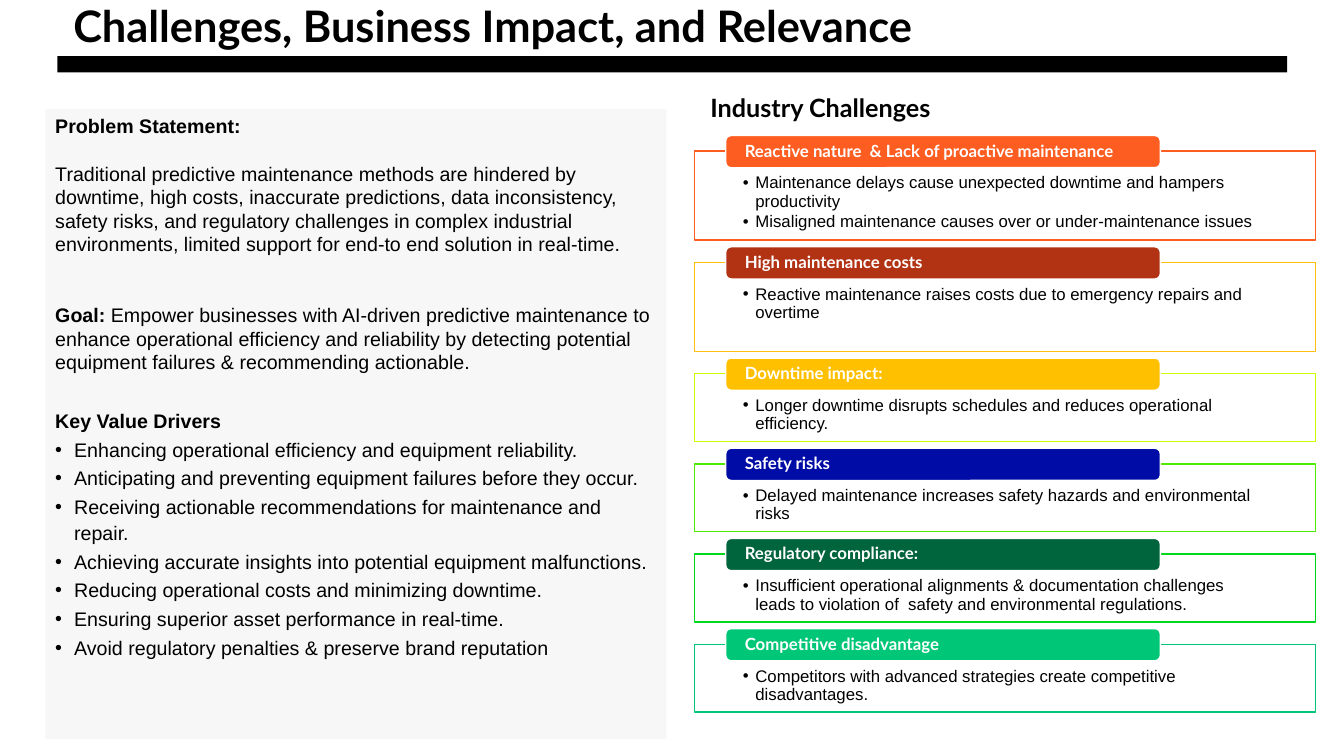
from lxml.etree import SubElement
from pptx import Presentation
from pptx.dml.color import RGBColor
from pptx.enum.shapes import MSO_SHAPE
from pptx.enum.text import MSO_ANCHOR, PP_ALIGN
from pptx.oxml.ns import qn
from pptx.util import Pt

BLACK = RGBColor(0x00, 0x00, 0x00)
WHITE = RGBColor(0xFF, 0xFF, 0xFF)
PANEL = RGBColor(0xF7, 0xF7, 0xF7)
ORANGE = RGBColor(0xFE, 0x5D, 0x21)
AMBER = RGBColor(0xFE, 0xBF, 0x0F)
RUST = RGBColor(0xB2, 0x32, 0x14)
LIME = RGBColor(0xC9, 0xFB, 0x01)
GOLD = RGBColor(0xFF, 0xC0, 0x00)
GREEN = RGBColor(0x4E, 0xEA, 0x00)
NAVY = RGBColor(0x00, 0x0C, 0xA6)
LEAF = RGBColor(0x00, 0xD8, 0x1D)
FOREST = RGBColor(0x00, 0x64, 0x3C)
JADE = RGBColor(0x00, 0xC7, 0x77)

STATEMENT = [
    (0, [("Problem Statement:", True)]),
    (17, [("Traditional predictive maintenance methods are hindered by downtime, "
           "high costs, inaccurate predictions, data inconsistency, safety risks, "
           "and regulatory challenges in complex industrial environments, limited "
           "support for end-to end solution in real-time.", False)]),
    (34, [("Goal: ", True),
          ("Empower businesses with AI-driven predictive maintenance to enhance "
           "operational efficiency and reliability by detecting potential equipment "
           "failures & recommending actionable.", False)]),
    (25, [("Key Value Drivers", True)]),
]
DRIVERS = [
    "Enhancing operational efficiency and equipment reliability.",
    "Anticipating and preventing equipment failures before they occur.",
    "Receiving actionable recommendations for maintenance and repair.",
    "Achieving accurate insights into potential equipment malfunctions.",
    "Reducing operational costs and minimizing downtime.",
    "Ensuring superior asset performance in real-time.",
    "Avoid regulatory penalties & preserve brand reputation",
]
CHALLENGES = [
    ("Reactive nature  & Lack of proactive maintenance", ORANGE, ORANGE, 63.5,
     ["Maintenance delays cause unexpected downtime and hampers productivity",
      "Misaligned maintenance causes over or under-maintenance issues"]),
    ("High maintenance costs", RUST, AMBER, 63.5,
     ["Reactive maintenance raises costs due to emergency repairs and overtime"]),
    ("Downtime impact:", GOLD, LIME, 48.4,
     ["Longer downtime disrupts schedules and reduces operational efficiency."]),
    ("Safety risks", NAVY, GREEN, 48.4,
     ["Delayed maintenance increases safety hazards and environmental risks"]),
    ("Regulatory compliance:", FOREST, LEAF, 48.4,
     ["Insufficient operational alignments & documentation challenges leads to "
      "violation of  safety and environmental regulations."]),
    ("Competitive disadvantage", JADE, JADE, 48.4,
     ["Competitors with advanced strategies create competitive disadvantages."]),
]


def add_run(p, text, size, font="Arial", color=BLACK, bold=False):
    """Append one formatted run to a paragraph."""
    r = p.add_run()
    r.text = text
    r.font.size = Pt(size)
    r.font.name = font
    r.font.color.rgb = color
    r.font.bold = bold


def add_para(tf, first=False, before=0, after=0, spacing=1.0):
    """Return a left-aligned paragraph with the given spacing."""
    p = tf.paragraphs[0] if first else tf.add_paragraph()
    p.alignment = PP_ALIGN.LEFT
    p.space_before = Pt(before)
    p.space_after = Pt(after)
    p.line_spacing = spacing
    return p


def add_bullet(p, indent):
    """Give a paragraph a hanging bullet."""
    pPr = p._p.get_or_add_pPr()
    pPr.set("marL", str(Pt(indent)))
    pPr.set("indent", str(Pt(-indent)))
    SubElement(pPr, qn("a:buFont"), typeface="Arial")
    SubElement(pPr, qn("a:buChar"), char="•")


def add_box(slide, kind, box, fill, line=None, insets=(7.2, 3.6, 7.2, 3.6),
            anchor=MSO_ANCHOR.TOP):
    """Add a flat shape with wrapped text and return it."""
    sp = slide.shapes.add_shape(kind, *map(Pt, box))
    sp.shadow.inherit = False
    sp.fill.solid()
    sp.fill.fore_color.rgb = fill
    if line is None:
        sp.line.fill.background()
    else:
        sp.line.color.rgb = line
        sp.line.width = Pt(1)
    tf = sp.text_frame
    tf.word_wrap = True
    tf.vertical_anchor = anchor
    tf.margin_left, tf.margin_top, tf.margin_right, tf.margin_bottom = map(Pt, insets)
    return sp


def add_heading(slide, box, text, size):
    """Add a bold heading in a text box."""
    tf = slide.shapes.add_textbox(*map(Pt, box)).text_frame
    tf.word_wrap = True
    p = add_para(tf, first=True, after=6, spacing=0.9)
    add_run(p, text, size, "Lato", bold=True)


def add_title(slide, box):
    """Add the slide title above its black rule."""
    x, y, w, h = box
    add_heading(slide, (x + 4.3, y, 723, h), "Challenges, Business Impact, and Relevance", 31)
    add_box(slide, MSO_SHAPE.RECTANGLE, (x, y + 40.2, w, 11.5), BLACK)


def add_statement(slide, box):
    """Add the grey panel with problem, goal and value drivers."""
    tf = add_box(slide, MSO_SHAPE.RECTANGLE, box, PANEL).text_frame
    for i, (before, runs) in enumerate(STATEMENT):
        p = add_para(tf, first=i == 0, before=before)
        for text, bold in runs:
            add_run(p, text, 14, bold=bold)
    for driver in DRIVERS:
        p = add_para(tf, before=2, spacing=1.1)
        add_bullet(p, 13.5)
        add_run(p, driver, 14)


def add_challenge(slide, box, title, tab_color, border, points):
    """Add one outlined card with its coloured title tab."""
    x, y, w, h = box
    card = add_box(slide, MSO_SHAPE.RECTANGLE, box, WHITE, border, (34.5, 16.6, 34.5, 6.4))
    for i, point in enumerate(points):
        p = add_para(card.text_frame, first=i == 0, after=1.8, spacing=0.9)
        add_bullet(p, 9)
        add_run(p, point, 12)
    tab = add_box(slide, MSO_SHAPE.ROUNDED_RECTANGLE, (x + 22.3, y - 11.2, w * 0.7, 23),
                  tab_color, WHITE, (12.5, 0, 12.5, 0), MSO_ANCHOR.MIDDLE)
    p = add_para(tab.text_frame, first=True, spacing=0.9)
    add_run(p, title, 12, "Lato", WHITE, True)


def add_challenges(slide, box):
    """Add the heading and stack the challenge cards below it."""
    x, y, w, h = box
    add_heading(slide, (x + 4.3, y, 384.5, 41.8), "Industry Challenges", 18)
    top, gap = y + 43.2, 16
    for title, tab_color, border, height, points in CHALLENGES:
        add_challenge(slide, (x, top, w, height), title, tab_color, border, points)
        top += height + gap


def main():
    """Build the slide and save it."""
    prs = Presentation()
    prs.slide_width, prs.slide_height = Pt(960), Pt(540)
    slide = prs.slides.add_slide(prs.slide_layouts[6])
    add_title(slide, (41, 0, 878.5, 116.6))
    add_statement(slide, (32.4, 78, 443.5, 450))
    add_challenges(slide, (496.1, 64.8, 443.5, 443.8))
    prs.save("out.pptx")


if __name__ == "__main__":
    main()
